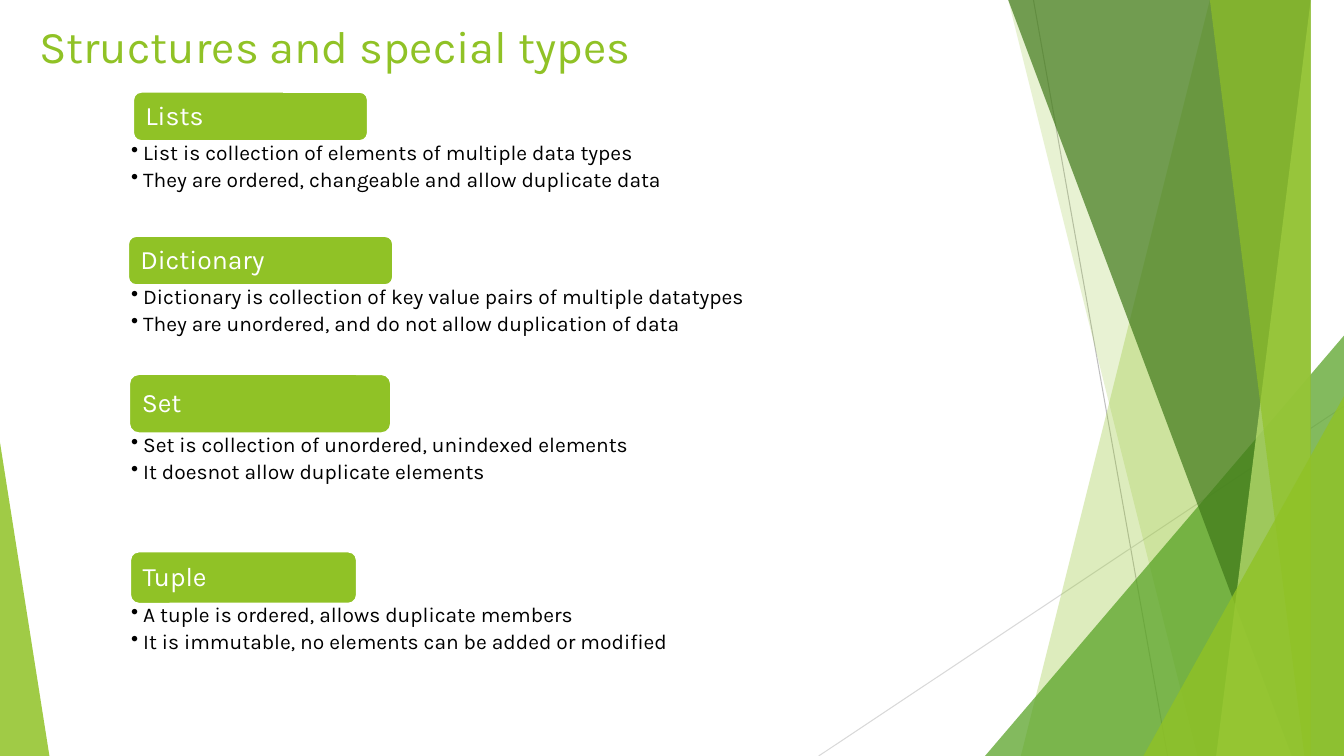
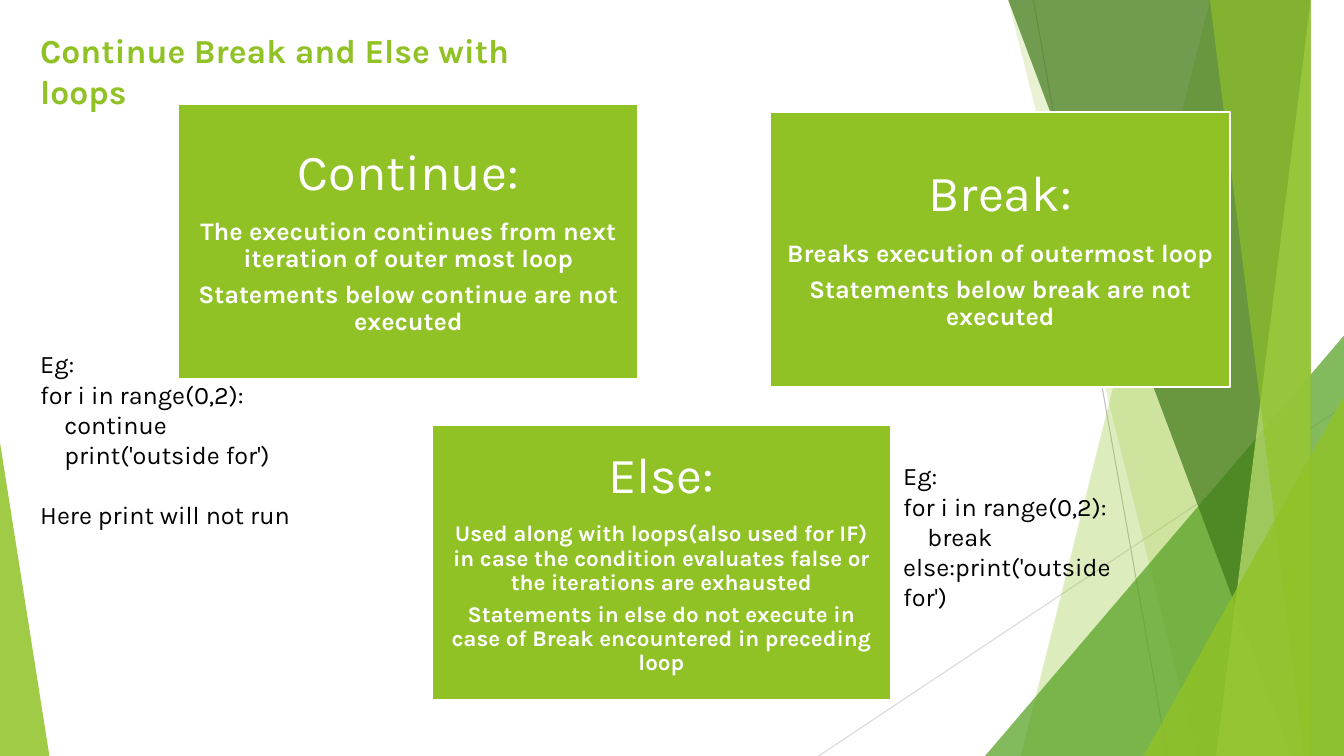
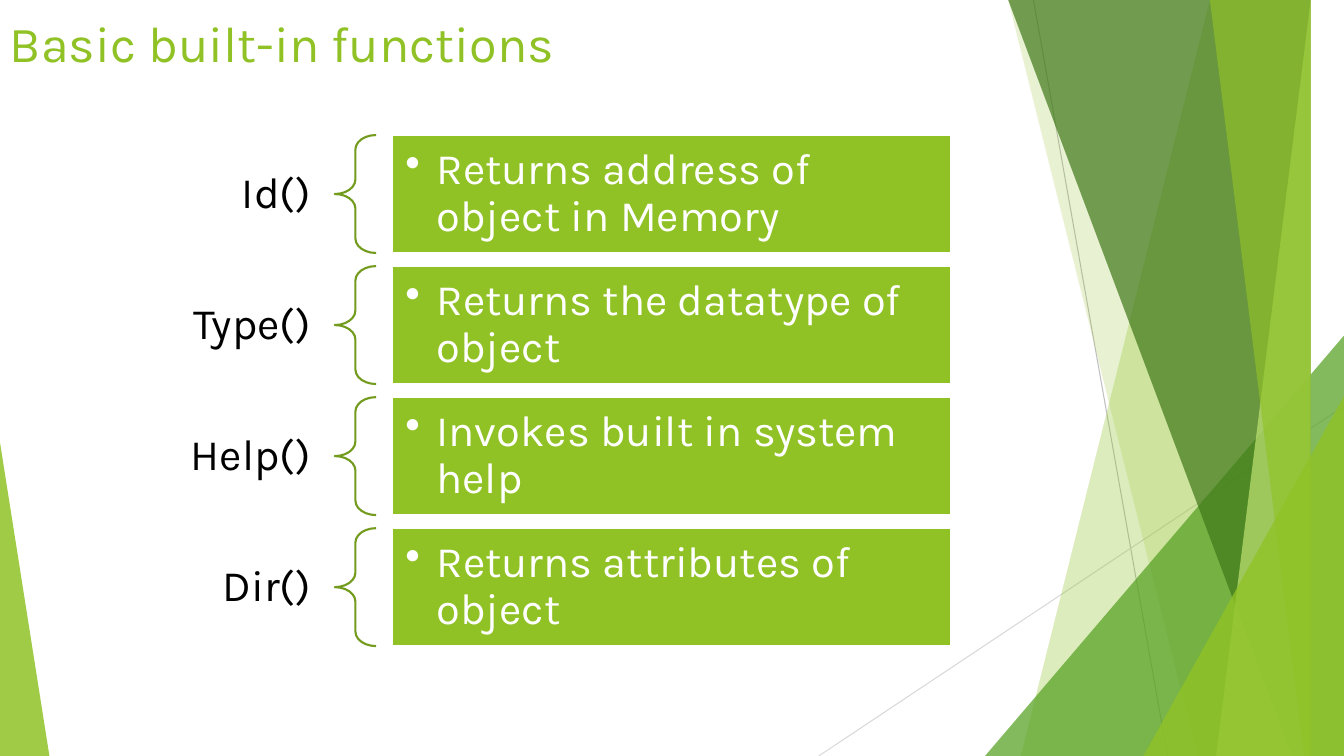
from lxml.etree import SubElement
from pptx import Presentation
from pptx.dml.color import RGBColor
from pptx.enum.shapes import MSO_CONNECTOR, MSO_SHAPE
from pptx.enum.text import MSO_ANCHOR, PP_ALIGN
from pptx.oxml.ns import qn
from pptx.util import Inches, Pt

# Shared style
W, H = 13.33, 7.5
FONT = "Karla"
LIME = RGBColor(0x90, 0xC2, 0x26)
GREEN = RGBColor(0x54, 0xA0, 0x21)
FOREST = RGBColor(0x3F, 0x78, 0x19)
PALE = RGBColor(0xC0, 0xE4, 0x74)
OLIVE = RGBColor(0x73, 0x9B, 0x1E)
GREY = RGBColor(0xBF, 0xBF, 0xBF)
SILVER = RGBColor(0xD9, 0xD9, 0xD9)
WHITE = RGBColor(0xFF, 0xFF, 0xFF)
BLACK = RGBColor(0, 0, 0)

# Backdrop: rays are (from, to, colour); facets run to the right edge and are
# (left at top, left at bottom, colour, opacity); wedges stand on the bottom
# edge and are (left, width, height, apex, colour, opacity)
RAYS = [((10.25, 0), (11.58, H), GREY), ((W, 4.03), (8.12, H), SILVER)]
BACKDROP = [
    ("facet", 12.28, 10.04, LIME, 30),
    ("facet", 10.5, 11.83, LIME, 20),
    ("wedge", 9.77, 3.56, 4.17, 1, GREEN, 72),
    ("facet", 10.21, 12.91, FOREST, 70),
    ("facet", 13.03, 11.92, PALE, 70),
    ("facet", 11.96, 13.18, LIME, 65),
    ("wedge", 11.34, 1.99, 3.57, 1, LIME, 80),
    ("wedge", 0, 0.49, 3.11, 0, LIME, 85),
]

# Slide 1: name, label box, height of the body, points
TYPES_TITLE = "Structures and special types"
TYPES = [
    ("Lists", (1.32, 0.91, 2.33, 0.49), 0.73,
     ["List is collection of elements of multiple data types",
      "They are ordered, changeable and allow duplicate data"]),
    ("Dictionary", (1.27, 2.34, 2.63, 0.49), 0.82,
     ["Dictionary is collection of key value pairs of multiple datatypes",
      "They are unordered, and do not allow duplication of data"]),
    ("Set", (1.28, 3.71, 2.6, 0.59), 1.47,
     ["Set is collection of unordered, unindexed elements",
      "It doesnot allow duplicate elements"]),
    ("Tuple", (1.29, 5.47, 2.25, 0.52), 1.47,
     ["A tuple is ordered, allows duplicate members",
      "It is immutable, no elements can be added or modified"]),
]

# Slide 2: heading, left and top, text size, statements
LOOPS_TITLE = "Continue Break and Else with loops"
CARD_W, CARD_H = 4.56, 2.73
CARDS = [
    ("Continue:", (1.77, 1.03), 18,
     ["The execution continues from next iteration of outer most loop",
      "Statements below continue are not executed"]),
    ("Break:", (7.64, 1.11), 18,
     ["Breaks execution of outermost loop",
      "Statements below break are not executed"]),
    ("Else:", (4.28, 4.22), 16,
     ["Used along with loops(also used for IF) in case the condition "
      "evaluates false or the iterations are exhausted",
      "Statements in else do not execute in case of Break encountered "
      "in preceding loop"]),
]
STEP = {"margin": 0.24}
EXAMPLES = [
    ((8.86, 4.52, 2.56, 1.31),
     ["Eg:", "for i in range(0,2):", ("break", STEP),
      "else:print('outside for')"]),
    ((0.3, 3.41, 2.75, 1.92),
     ["Eg:", "for i in range(0,2):", ("continue", STEP),
      ("print('outside for')", STEP),
      ("Here print will not run", {"before": 21})]),
]

# Slide 3: function, result
FUNCTIONS_TITLE = "Basic built-in functions"
FUNCTIONS = [
    ("Id()", "Returns address of object in Memory"),
    ("Type()", "Returns the datatype of object"),
    ("Help()", "Invokes built in system help"),
    ("Dir()", "Returns attributes of object"),
]
ROW_TOP, ROW_PITCH, ROW_H = 1.34, 1.3, 1.17
NAME_X, BRACE_X, RESULT_X = 1.28, 3.32, 3.89
NAME_H, BRACE_W, RESULT_W = 0.67, 0.41, 5.54


def box(slide, at, kind=None, fill=None, line=None, opacity=100):
    """A text box, or a preset shape when a kind is given."""
    place = [Inches(v) for v in at]
    if kind is None:
        return slide.shapes.add_textbox(*place)
    return paint(slide.shapes.add_shape(kind, *place), fill, line, opacity)


def paint(shape, fill=None, line=None, opacity=100):
    shape.shadow.inherit = False
    if fill is None:
        shape.fill.background()
    else:
        shape.fill.solid()
        shape.fill.fore_color.rgb = fill
    if opacity < 100:
        colour = next(shape.element.spPr.iter(qn("a:srgbClr")))
        SubElement(colour, qn("a:alpha"), val=str(opacity * 1000))
    if line is None:
        shape.line.fill.background()
    else:
        shape.line.color.rgb = line
        shape.line.width = Pt(1.5)
    return shape


def write(shape, lines, size=18, color=BLACK, bold=False, align=PP_ALIGN.LEFT,
          anchor=MSO_ANCHOR.TOP, insets=(0.1, 0.05, 0.1, 0.05), spacing=None,
          after=0, before=0, margin=0, bullet=False):
    """Write lines; one may be (text, its own format). after is a share of size."""
    frame = shape.text_frame
    frame.word_wrap = True
    frame.vertical_anchor = anchor
    (frame.margin_left, frame.margin_top,
     frame.margin_right, frame.margin_bottom) = [Inches(v) for v in insets]
    shared = dict(size=size, bold=bold, before=before, margin=margin)
    for i, entry in enumerate(lines):
        text, own = (entry, {}) if isinstance(entry, str) else entry
        style = {**shared, **own}
        para = frame.paragraphs[0] if i == 0 else frame.add_paragraph()
        para.alignment = align
        if spacing:
            para.line_spacing = spacing
        para.space_before = Pt(style["before"])
        para.space_after = Pt(round(style["size"] * after, 2))
        props = para._p.get_or_add_pPr()
        props.set("marL", str(Inches(style["margin"])))
        if bullet:
            props.set("indent", str(-Inches(style["margin"])))
            SubElement(props, qn("a:buChar"), char="•")
        run = para.add_run()
        run.text = text
        font = run.font
        font.name, font.size, font.bold = FONT, Pt(style["size"]), style["bold"]
        font.color.rgb = color


def title(slide, text, at, size, bold=False):
    write(box(slide, at), [text], size=size, color=LIME, bold=bold)


def draw_backdrop(slide):
    for start, end, color in RAYS:
        ray = slide.shapes.add_connector(
            MSO_CONNECTOR.STRAIGHT, *[Inches(v) for v in start + end])
        ray.line.color.rgb = color
        ray.line.width = Pt(0.75)
        SubElement(ray.element.spPr, qn("a:effectLst"))
    for kind, *part, color, opacity in BACKDROP:
        if kind == "facet":
            top, bottom = part
            outline = slide.shapes.build_freeform(top, 0, scale=Inches(1))
            outline.add_line_segments([(W, 0), (W, H), (bottom, H)], close=True)
            paint(outline.convert_to_shape(), color, opacity=opacity)
        else:
            left, width, height, apex = part
            wedge = box(slide, (left, H - height, width, height),
                        MSO_SHAPE.ISOSCELES_TRIANGLE, color, opacity=opacity)
            wedge.adjustments[0] = apex


deck = Presentation()
deck.slide_width, deck.slide_height = Inches(W), Inches(H)
blank = deck.slide_layouts[6]
types, loops, functions = [deck.slides.add_slide(blank) for _ in range(3)]

# The backdrop moves to the layout, so that every slide shows it
for placeholder in list(blank.placeholders):
    blank.shapes.element.remove(placeholder.element)
draw_backdrop(types)
for shape in list(types.shapes):
    blank.shapes.element.append(shape.element)

# Slide 1: data types
title(types, TYPES_TITLE, (0.29, 0.13, 11, 0.55), 32.4)
for name, label, body_h, points in TYPES:
    write(box(types, label, MSO_SHAPE.ROUNDED_RECTANGLE, LIME, WHITE), [name],
          size=19, color=WHITE, anchor=MSO_ANCHOR.MIDDLE, insets=[0.1] * 4,
          spacing=0.9, after=0.35)
    body_top = label[1] + label[3] - 0.02
    write(box(types, (0.98, body_top, 9.96, body_h)), points, size=15,
          insets=(0.32, 0.03, 0.15, 0.03), spacing=0.9, after=0.2,
          margin=0.12, bullet=True)

# Slide 2: loop statements
title(loops, LOOPS_TITLE, (0.3, 0.25, 5.75, 0.5), 24, bold=True)
for heading, corner, size, statements in CARDS:
    card = box(loops, (*corner, CARD_W, CARD_H), MSO_SHAPE.RECTANGLE, LIME, WHITE)
    write(card, [(heading, {"size": 36, "bold": False}), *statements],
          size=size, color=WHITE, bold=True, align=PP_ALIGN.CENTER,
          anchor=MSO_ANCHOR.MIDDLE, insets=[0.15] * 4, spacing=0.9, after=0.35)
for place, code in EXAMPLES:
    write(box(loops, place), code)

# Slide 3: built-in functions
title(functions, FUNCTIONS_TITLE, (0, 0.07, 11, 0.86), 36)
for row, (name, result) in enumerate(FUNCTIONS):
    top = ROW_TOP + row * ROW_PITCH
    name_top = top + (ROW_H - NAME_H) / 2
    write(box(functions, (NAME_X, name_top, BRACE_X - NAME_X, NAME_H)), [name],
          size=31, align=PP_ALIGN.RIGHT, anchor=MSO_ANCHOR.MIDDLE,
          insets=(0.24, 0.09, 0.24, 0.09), spacing=0.9, after=0.35)
    brace = box(functions, (BRACE_X, top, BRACE_W, ROW_H),
                MSO_SHAPE.LEFT_BRACE, line=OLIVE)
    brace.adjustments[0] = 0.35
    write(box(functions, (RESULT_X, top, RESULT_W, ROW_H),
              MSO_SHAPE.RECTANGLE, LIME, WHITE), [result],
          size=31, color=WHITE, anchor=MSO_ANCHOR.MIDDLE, insets=[0.13] * 4,
          spacing=0.9, after=0.15, margin=0.31, bullet=True)

deck.save("out.pptx")
